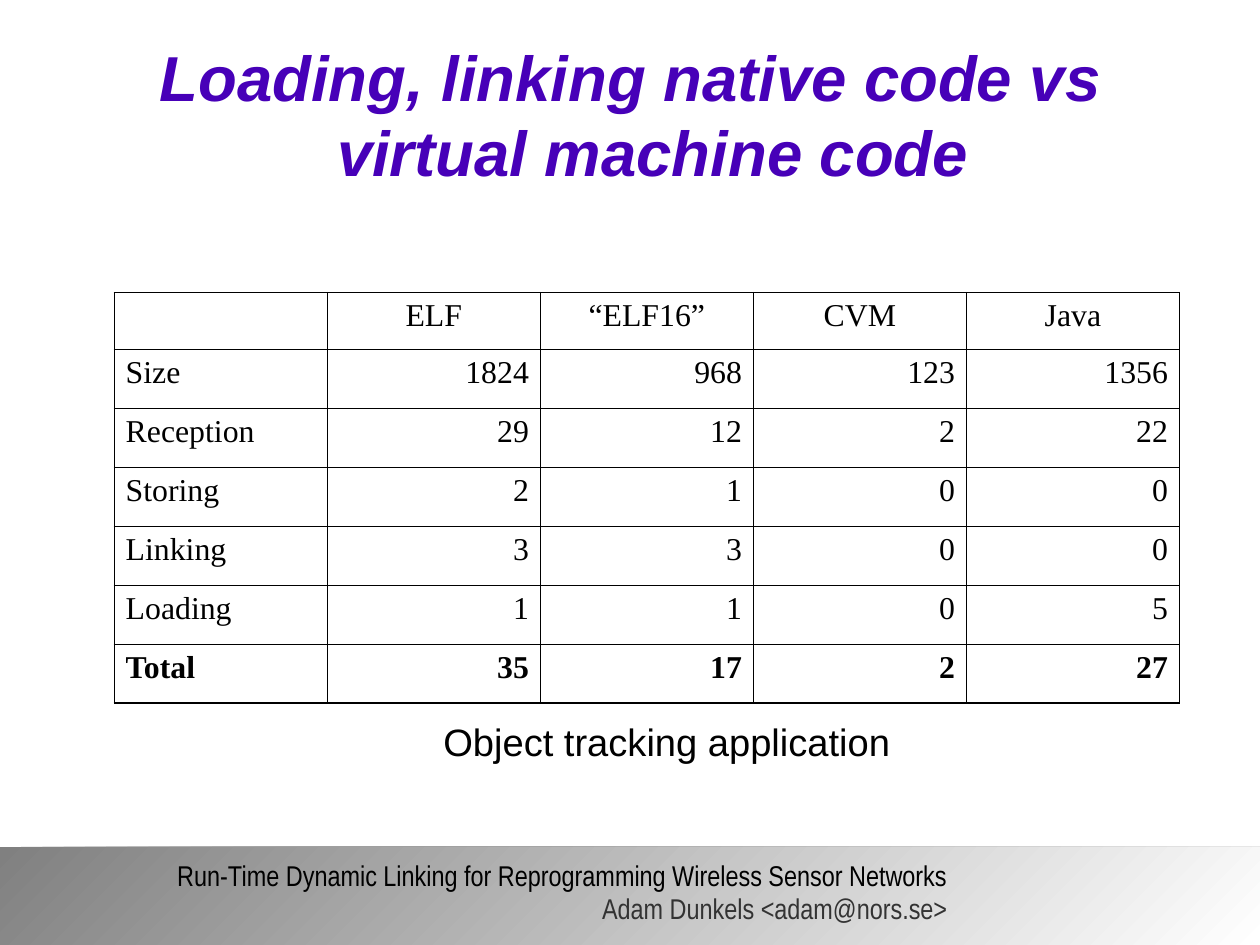
from dataclasses import dataclass

from lxml.etree import SubElement
from pptx import Presentation
from pptx.dml.color import RGBColor
from pptx.enum.shapes import MSO_SHAPE
from pptx.enum.text import MSO_ANCHOR, MSO_AUTO_SIZE, PP_ALIGN
from pptx.oxml.ns import qn
from pptx.util import Inches, Pt


@dataclass(frozen=True)
class Theme:
    ink: str = "000000"
    heading: str = "4700B8"
    author: str = "333333"
    band_dark: str = "808080"
    band_light: str = "FFFFFF"
    sans: str = "Arial"
    narrow: str = "Arial Narrow"
    serif: str = "Times New Roman"
    title_size: float = 40
    caption_size: float = 24
    table_size: float = 20
    footer_size: float = 18
    inner_line: float = 0.45
    outer_line: float = 1.08


theme = Theme()


def style(paragraph, face, size, color, align=PP_ALIGN.LEFT, bold=False, italic=False, hanging=0):
    paragraph.alignment = align
    properties = paragraph._p.get_or_add_pPr()
    properties.set("marL", str(Inches(hanging)))
    properties.set("indent", str(-Inches(hanging)))
    for run in paragraph.runs:
        run.font.name = face
        run.font.size = Pt(size)
        run.font.color.rgb = RGBColor.from_string(color)
        run.font.bold = bold
        run.font.italic = italic


def draw_border(cell, side, width):
    line = SubElement(cell._tc.get_or_add_tcPr(), qn(f"a:{side}"), w=str(Pt(width)))
    SubElement(SubElement(line, qn("a:solidFill")), qn("a:srgbClr"), val=theme.ink)


presentation = Presentation()
presentation.slide_width = Inches(28 / 2.54)
presentation.slide_height = Inches(21 / 2.54)
slide = presentation.slides.add_slide(presentation.slide_layouts[5])

title = slide.shapes.title
title.left, title.top = Inches(0.81), Inches(0.33)
title.width, title.height = Inches(9.41), Inches(1.38)
heading = title.text_frame
heading.text = "Loading, linking native code vs virtual machine code"
heading.word_wrap = True
heading.auto_size = MSO_AUTO_SIZE.NONE
heading.vertical_anchor = MSO_ANCHOR.MIDDLE
heading.margin_left = heading.margin_right = heading.margin_top = heading.margin_bottom = 0
heading.paragraphs[0].line_spacing = 0.98
style(heading.paragraphs[0], theme.sans, theme.title_size, theme.heading,
      PP_ALIGN.CENTER, bold=True, italic=True, hanging=0.39)

footer_band = slide.shapes.add_shape(
    MSO_SHAPE.ROUNDED_RECTANGLE, 0, Inches(7.41), presentation.slide_width, Inches(0.86))
footer_band.adjustments[0] = 0.002
footer_band.shadow.inherit = False
footer_band.line.fill.background()
footer_band.fill.gradient()
footer_band.fill.gradient_angle = 315
for stop, color, position in zip(
        footer_band.fill.gradient_stops, (theme.band_dark, theme.band_light), (0, 1)):
    stop.color.rgb = RGBColor.from_string(color)
    stop.position = position

footer = slide.shapes.add_textbox(
    Inches(0.12), Inches(7.47), Inches(8.17), Inches(0.69)).text_frame
footer.text = ("Run-Time Dynamic Linking for Reprogramming Wireless Sensor Networks\n"
               "Adam Dunkels <adam@nors.se>")
footer.word_wrap = True
footer.vertical_anchor = MSO_ANCHOR.MIDDLE
footer.margin_left = footer.margin_right = footer.margin_top = footer.margin_bottom = 0
for credit, color, spacing in zip(footer.paragraphs, (theme.ink, theme.author), (0.96, 0.98)):
    credit.line_spacing = spacing
    style(credit, theme.narrow, theme.footer_size, color, PP_ALIGN.RIGHT)

measurements = [
    ("", "ELF", "“ELF16”", "CVM", "Java"),
    ("Size", "1824", "968", "123", "1356"),
    ("Reception", "29", "12", "2", "22"),
    ("Storing", "2", "1", "0", "0"),
    ("Linking", "3", "3", "0", "0"),
    ("Loading", "1", "1", "0", "5"),
    ("Total", "35", "17", "2", "27"),
]
last_row, last_column = len(measurements) - 1, len(measurements[0]) - 1
comparison = slide.shapes.add_table(
    last_row + 1, last_column + 1, Inches(1), Inches(2.56), Inches(9.32), Inches(3.59)).table
comparison.first_row = False
comparison.horz_banding = False
for row_index, row in enumerate(comparison.rows):
    row.height = Inches(0.5) if row_index == 0 else Inches(3.09 / last_row)

for row_index, values in enumerate(measurements):
    for column_index, value in enumerate(values):
        cell = comparison.cell(row_index, column_index)
        cell.text = value
        entry = cell.text_frame.paragraphs[0]
        entry.space_before = Pt(5)
        if row_index == 0:
            align = PP_ALIGN.CENTER
        else:
            align = PP_ALIGN.LEFT if column_index == 0 else PP_ALIGN.RIGHT
        style(entry, theme.serif, theme.table_size, theme.ink, align,
              bold=row_index == last_row, hanging=0.08)
        outer_sides = {
            "lnL": column_index == 0,
            "lnR": column_index == last_column,
            "lnT": row_index == 0,
            "lnB": row_index == last_row,
        }
        for side, is_outer in outer_sides.items():
            draw_border(cell, side, theme.outer_line if is_outer else theme.inner_line)
        cell.fill.background()

caption = slide.shapes.add_textbox(
    Inches(3.78), Inches(6.26), Inches(4.11), Inches(0.49)).text_frame
caption.text = "Object tracking application"
caption.word_wrap = False
caption.auto_size = MSO_AUTO_SIZE.SHAPE_TO_FIT_TEXT
caption.paragraphs[0].line_spacing = 0.96
style(caption.paragraphs[0], theme.sans, theme.caption_size, theme.ink)

presentation.save("out.pptx")
